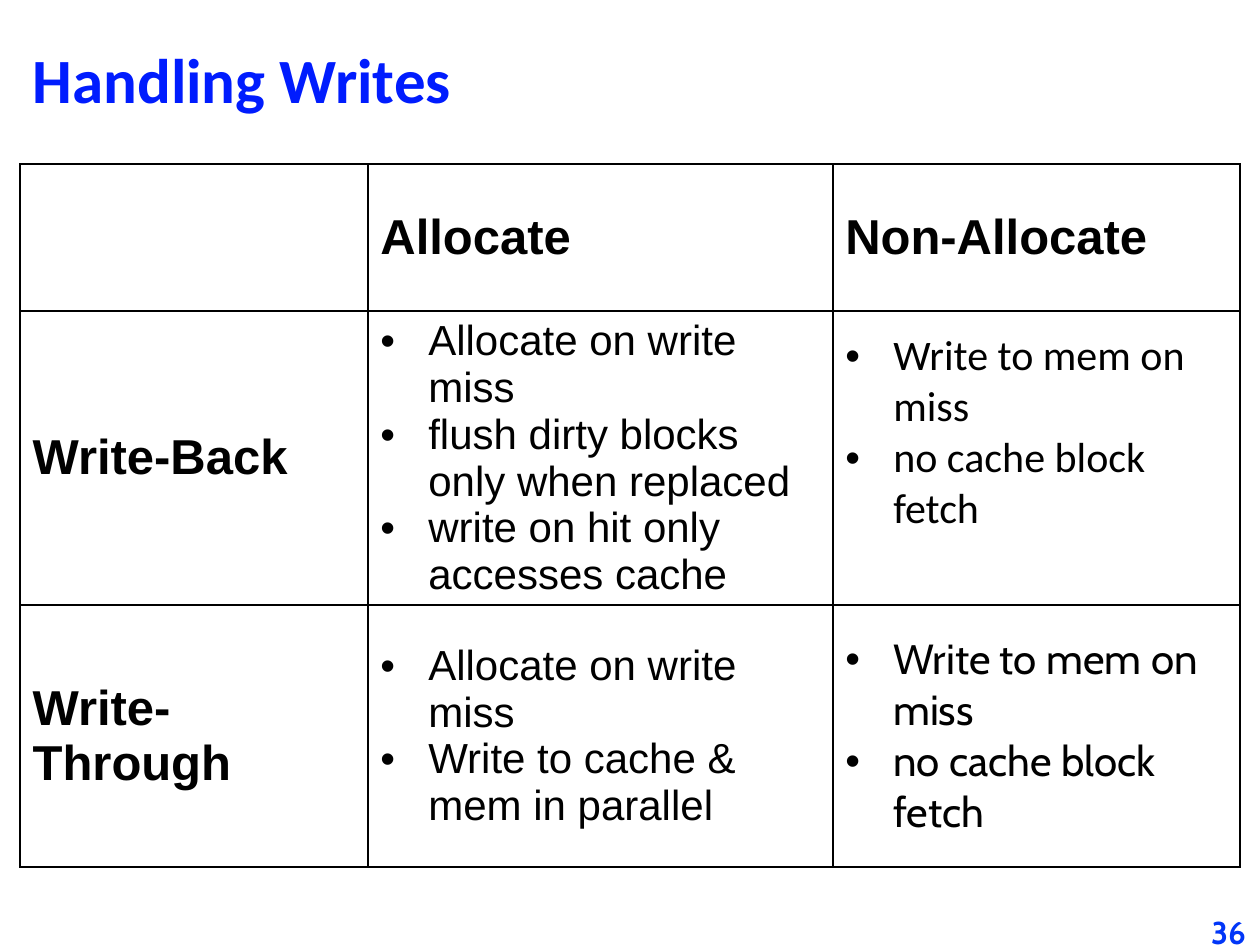
import pptx
import pptx.util
import pptx.dml.color
import pptx.enum.text
import pptx.oxml
import pptx.oxml.ns

Inches = pptx.util.Inches
Align = pptx.enum.text.PP_ALIGN
Anchor = pptx.enum.text.MSO_ANCHOR

COLS = [2.76, 3.69, 3.23]
ROWS = [1.17, 2.33, 2.08]
HEADS = ["Allocate", "Non-Allocate"]
MISS = ["Write to mem on miss", "no cache block fetch"]
BODY = [
    ("Write-Back",
     ["Allocate on write miss", "flush dirty blocks only when replaced",
      "write on hit only accesses cache"],
     "Calibri", 0.45),
    ("Write-Through",
     ["Allocate on write miss", "Write to cache & mem in parallel"],
     "Cabin", 0.05),
]


def color(code):
    return pptx.dml.color.RGBColor.from_string(code)


def add_xml(parent, tag, **attrs):
    node = pptx.oxml.ns.qn(tag)
    child = parent.makeelement(node, attrs)
    parent.append(child)
    return child


def paint(item, code):
    item.fill.solid()
    item.fill.fore_color.rgb = color(code)


def write(frame, text, size=24, font="Arial", ink="000000", bold=False,
          align=Align.LEFT, line=None, bullet=False):
    lines = [text] if isinstance(text, str) else text
    for i, words in enumerate(lines):
        para = frame.add_paragraph() if i else frame.paragraphs[0]
        para.alignment = align
        if line:
            para.line_spacing = line
        if bullet:
            props = para._p.get_or_add_pPr()
            props.set("marL", str(Inches(0.38)))
            props.set("indent", str(-Inches(0.38)))
            add_xml(props, "a:buFont", typeface="Arial")
            add_xml(props, "a:buChar", char="•")
        run = para.add_run()
        run.text = words
        run.font.size = pptx.util.Pt(size)
        run.font.name = font
        run.font.bold = bold
        run.font.color.rgb = color(ink)


def add_title(slide, text):
    title = slide.shapes.title
    title.left, title.top = Inches(0.16), Inches(0.16)
    title.width, title.height = Inches(9.68), Inches(1.01)
    shape = add_xml(title._element.spPr, "a:prstGeom", prst="roundRect")
    add_xml(shape, "a:avLst")
    paint(title, "FFFFFF")
    title.text_frame.vertical_anchor = Anchor.MIDDLE
    write(title.text_frame, text, size=36, font="Calibri", ink="001CFE",
          bold=True, line=0.87)


def add_page(slide, text):
    box = slide.shapes.add_textbox(
        Inches(9.5), Inches(7.29), Inches(0.5), Inches(0.21))
    frame = box.text_frame
    frame.word_wrap = True
    frame.vertical_anchor = Anchor.MIDDLE
    frame.margin_left = frame.margin_right = 0
    frame.margin_top = frame.margin_bottom = 0
    write(frame, text, size=18, font="Cabin", ink="0136F8", bold=True,
          align=Align.CENTER)


def style(cell):
    cell.vertical_anchor = Anchor.MIDDLE
    props = cell._tc.get_or_add_tcPr()
    for side in "LRTB":
        edge = add_xml(props, "a:ln" + side, w=str(pptx.util.Pt(1)))
        fill = add_xml(edge, "a:solidFill")
        add_xml(fill, "a:srgbClr", val="000000")
    paint(cell, "FFFFFF")


def add_grid(slide):
    table = slide.shapes.add_table(
        len(ROWS), len(COLS), Inches(0.16), Inches(1.3),
        Inches(sum(COLS)), Inches(sum(ROWS))).table
    table.first_row = table.horz_banding = False
    for col, width in zip(table.columns, COLS):
        col.width = Inches(width)
    for row, height in zip(table.rows, ROWS):
        row.height = Inches(height)
    for cell in table.iter_cells():
        style(cell)
    for c, head in enumerate(HEADS, 1):
        write(table.cell(0, c).text_frame, head, size=28, bold=True)
    for r, (name, points, font, gap) in enumerate(BODY, 1):
        write(table.cell(r, 0).text_frame, name, size=28, bold=True)
        write(table.cell(r, 1).text_frame, points, bullet=True)
        last = table.cell(r, 2)
        last.margin_bottom = Inches(gap)
        write(last.text_frame, MISS, font=font, bullet=True)


def main():
    deck = pptx.Presentation()
    deck.slide_width, deck.slide_height = Inches(10), Inches(7.5)
    slide = deck.slides.add_slide(deck.slide_layouts[5])
    add_title(slide, "Handling Writes")
    add_grid(slide)
    add_page(slide, "36")
    deck.save("out.pptx")


if __name__ == "__main__":
    main()
